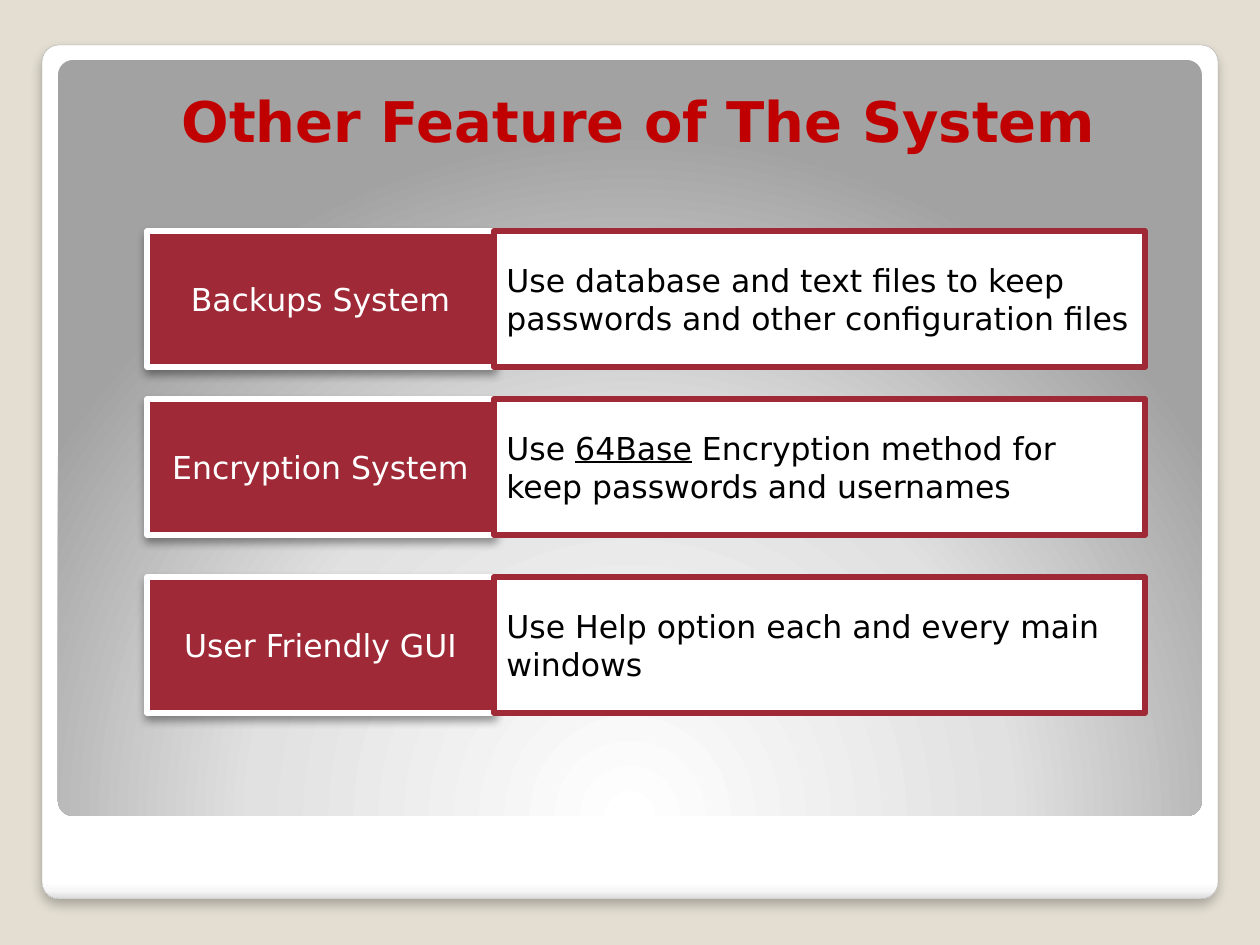
from dataclasses import dataclass

from pptx import Presentation
from pptx.dml.color import RGBColor
from pptx.enum.shapes import MSO_SHAPE
from pptx.enum.text import MSO_ANCHOR, PP_ALIGN
from pptx.oxml import parse_xml
from pptx.oxml.ns import nsdecls, qn
from pptx.util import Pt

TITLE = "Other Feature of The System"
FEATURES = [
    (231, "Backups System",
     [("Use database and text files to keep passwords and other configuration files", False)]),
    (399, "Encryption System",
     [("Use ", False), ("64Base", True),
      (" Encryption method for keep passwords and usernames", False)]),
    (577, "User Friendly GUI",
     [("Use Help option each and every main windows", False)]),
]

PAGE_SIZE = (1260, 945)
FRAME = (42, 45, 1176, 854)
PANEL = (58, 60, 1144, 756)
TITLE_AREA = (69, 73, 1128, 736)
TITLE_INSETS = (25, 13, 13, 6)
ROW_LEFT, ROW_HEIGHT = 147, 136
LABEL_WIDTH, DETAIL_WIDTH = 347, 651


@dataclass(frozen=True)
class Theme:
    font: str = "DejaVu Sans"
    title_size: int = 32
    body_size: int = 18
    page: str = "E3DED1"
    title: str = "C00000"
    accent: str = "9F2936"
    light: str = "FFFFFF"
    dark: str = "000000"
    edge: str = "A4A4A4"
    frame_stops: tuple = ((0, "FFFFFF"), (98, "FFFFFF"), (99, "F7F7F7"), (100, "DADADA"))
    panel_stops: tuple = ((0, "FFFFFF"), (55, "E1E1E1"), (100, "A2A2A2"))


THEME = Theme()
DOWNWARD = '<a:lin ang="5400000" scaled="0"/>'
FROM_BOTTOM = ('<a:path path="circle">'
               '<a:fillToRect l="50000" t="175000" r="50000" b="-75000"/></a:path>')


def px(value):
    return round(value * 914400 / 126)


def rgb(value):
    return RGBColor.from_string(value)


def add_box(page, kind, area, fill=None, line=None, width=0):
    box = page.shapes.add_shape(kind, *map(px, area))
    box.shadow.inherit = False
    if fill:
        box.fill.solid()
        box.fill.fore_color.rgb = rgb(fill)
    else:
        box.fill.background()
    if line:
        box.line.color.rgb = rgb(line)
        box.line.width = Pt(width)
    else:
        box.line.fill.background()
    return box


def add_round_box(page, area, stops, direction, **outline):
    box = add_box(page, MSO_SHAPE.ROUNDED_RECTANGLE, area, **outline)
    box.adjustments[0] = 0.02
    colours = "".join(
        f'<a:gs pos="{position * 1000}"><a:srgbClr val="{colour}"/></a:gs>'
        for position, colour in stops)
    properties = box.element.spPr
    properties.replace(properties.find(qn("a:noFill")), parse_xml(
        f'<a:gradFill {nsdecls("a")} rotWithShape="1">'
        f"<a:gsLst>{colours}</a:gsLst>{direction}</a:gradFill>"))
    return box


def add_shadow(box, alpha, blur, distance):
    box.element.spPr.find(qn("a:effectLst")).append(parse_xml(
        f'<a:outerShdw {nsdecls("a")} blurRad="{Pt(blur)}" dist="{Pt(distance)}" '
        f'dir="5400000" algn="ctr" rotWithShape="0"><a:srgbClr val="{THEME.dark}">'
        f'<a:alpha val="{alpha * 1000}"/></a:srgbClr></a:outerShdw>'))


def write(box, spans, colour, size=THEME.body_size, bold=False,
          align=PP_ALIGN.LEFT, anchor=MSO_ANCHOR.MIDDLE, before=0):
    frame = box.text_frame
    frame.word_wrap = True
    frame.vertical_anchor = anchor
    para = frame.paragraphs[0]
    para.alignment = align
    para.space_before = Pt(before)
    for text, underline in spans:
        span = para.add_run()
        span.text = text
        span.font.name = THEME.font
        span.font.size = Pt(size)
        span.font.bold = bold
        span.font.underline = underline
        span.font.color.rgb = rgb(colour)


def add_title(page):
    box = page.shapes.add_textbox(*map(px, TITLE_AREA))
    frame = box.text_frame
    (frame.margin_left, frame.margin_top,
     frame.margin_right, frame.margin_bottom) = map(px, TITLE_INSETS)
    write(box, [(TITLE, False)], THEME.title, size=THEME.title_size, bold=True,
          align=PP_ALIGN.CENTER, anchor=MSO_ANCHOR.TOP, before=2.5)


def add_feature(page, top, name, detail):
    label = add_box(page, MSO_SHAPE.RECTANGLE, (ROW_LEFT, top, LABEL_WIDTH, ROW_HEIGHT),
                    fill=THEME.accent, line=THEME.light, width=3)
    add_shadow(label, alpha=40, blur=5.2, distance=3)
    write(label, [(name, False)], THEME.light, align=PP_ALIGN.CENTER)
    card = add_box(page, MSO_SHAPE.RECTANGLE,
                   (ROW_LEFT + LABEL_WIDTH, top, DETAIL_WIDTH, ROW_HEIGHT),
                   fill=THEME.light, line=THEME.accent, width=3.35)
    write(card, detail, THEME.dark)


def main():
    deck = Presentation()
    deck.slide_width, deck.slide_height = map(px, PAGE_SIZE)
    page = deck.slides.add_slide(deck.slide_layouts[6])
    page.background.fill.solid()
    page.background.fill.fore_color.rgb = rgb(THEME.page)
    frame = add_round_box(page, FRAME, THEME.frame_stops, DOWNWARD,
                          line=THEME.edge, width=0.16)
    add_shadow(frame, alpha=25, blur=6, distance=4)
    add_round_box(page, PANEL, THEME.panel_stops, FROM_BOTTOM)
    add_title(page)
    for feature in FEATURES:
        add_feature(page, *feature)
    deck.save("out.pptx")


if __name__ == "__main__":
    main()
